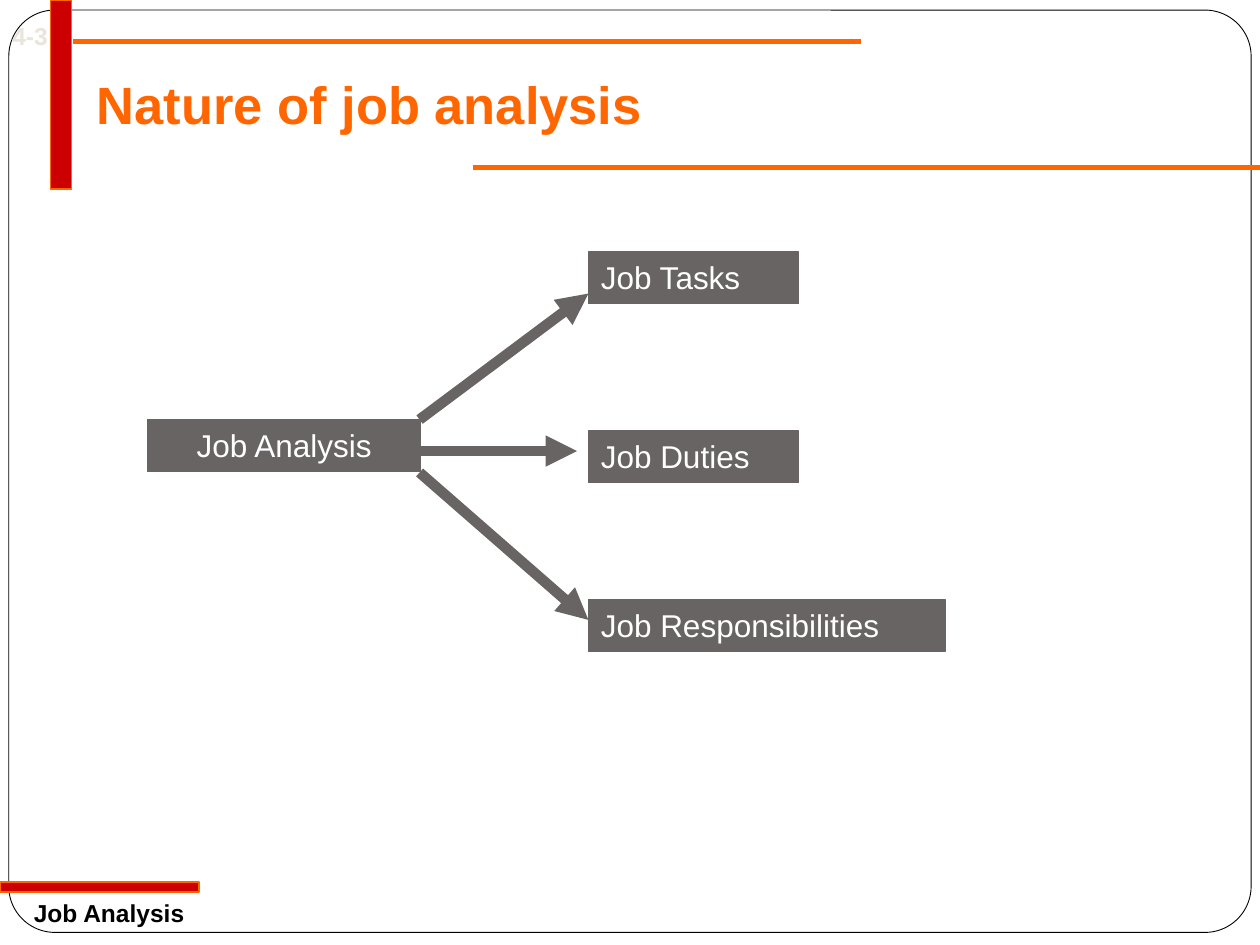
from dataclasses import dataclass

from lxml import etree
from pptx import Presentation
from pptx.dml.color import RGBColor
from pptx.enum.shapes import MSO_CONNECTOR, MSO_SHAPE
from pptx.enum.text import MSO_ANCHOR, PP_ALIGN
from pptx.oxml.ns import qn
from pptx.util import Inches, Pt

RECT, ROUND = MSO_SHAPE.RECTANGLE, MSO_SHAPE.ROUNDED_RECTANGLE
STRAIGHT = MSO_CONNECTOR.STRAIGHT
LEFT, CENTER = PP_ALIGN.LEFT, PP_ALIGN.CENTER
TOP = MSO_ANCHOR.TOP


@dataclass(frozen=True)
class Theme:
    font: str = "Arial"
    white: str = "FFFFFF"
    black: str = "000000"
    orange: str = "FF6600"
    red: str = "CC0000"
    gray: str = "696464"
    pale: str = "E9E5DC"
    title: int = 30
    body: int = 18
    small: int = 14


THEME = Theme()


def rgb(color):
    return RGBColor.from_string(color)


def write(shape, text, size, color, bold=False, align=LEFT):
    frame = shape.text_frame
    frame.word_wrap = True
    frame.vertical_anchor = TOP
    para = frame.paragraphs[0]
    para.text = text
    para.alignment = align
    font = para.runs[0].font
    font.name, font.size, font.bold = THEME.font, Pt(size), bold
    font.color.rgb = rgb(color)
    return para


def add_label(slide, box, text, size, color):
    """Add bold text without a frame."""
    label = slide.shapes.add_textbox(*map(Inches, box))
    return write(label, text, size, color, bold=True)


def add_block(slide, box, fill, line, width=0.75, kind=RECT):
    block = slide.shapes.add_shape(kind, *map(Inches, box))
    block.shadow.inherit = False
    block.fill.solid()
    block.fill.fore_color.rgb = rgb(fill)
    block.line.color.rgb = rgb(line)
    block.line.width = Pt(width)
    return block


def add_node(slide, box, text, align=LEFT):
    node = add_block(slide, box, THEME.gray, THEME.gray)
    write(node, text, THEME.body, THEME.white, align=align)


def add_line(slide, start, end, color, width):
    line = slide.shapes.add_connector(STRAIGHT, *map(Inches, start + end))
    line.line.color.rgb = rgb(color)
    line.line.width = Pt(width)
    etree.SubElement(line._element.spPr, qn("a:effectLst"))
    return line


def add_arrow(slide, start, end):
    arrow = add_line(slide, start, end, THEME.gray, 6)
    etree.SubElement(arrow.line._get_or_add_ln(), qn("a:tailEnd"),
                     type="triangle")


def add_frame(slide):
    """Add the page border, the bars, the rules and the fixed texts."""
    border = add_block(slide, (0.07, 0.08, 9.86, 7.32), THEME.white,
                       THEME.black, 0.5, ROUND)
    border.adjustments[0] = 0.05
    add_label(slide, (0, 0.12, 0.77, 0.33), "4-3", THEME.small, THEME.pale)
    for left, y in ((0.58, 0.33), (3.75, 1.33)):
        add_line(slide, (left, y), (left + 6.25, y), THEME.orange, 3)
    for bar in ((0.4, 0, 0.17, 1.5), (0, 7, 1.58, 0.08)):
        add_block(slide, bar, THEME.red, THEME.orange)
    title = add_label(slide, (0.67, 0.58, 8.75, 0.55),
                      "Nature of job analysis", THEME.title, THEME.orange)
    title.line_spacing = 0.9
    add_label(slide, (0.17, 7.08, 1.67, 0.33), "Job Analysis",
              THEME.small, THEME.black)


def add_tree(slide):
    """Add the root, its three arrows and the three results."""
    high, left = 0.41, 4.67
    add_node(slide, (1.17, 3.33, 2.17, high), "Job Analysis", CENTER)
    for start, end in (((3.33, 3.33), (left, 2.33)),
                       ((3.33, 3.75), (left, 4.92)),
                       ((3.25, 3.58), (4.58, 3.58))):
        add_arrow(slide, start, end)
    for text, top, wide in (("Job Tasks", 2, 1.67),
                            ("Job Duties", 3.42, 1.67),
                            ("Job Responsibilities", 4.76, 2.83)):
        add_node(slide, (left, top, wide, high), text)


def main():
    deck = Presentation()
    deck.slide_width, deck.slide_height = Inches(10), Inches(7.5)
    slide = deck.slides.add_slide(deck.slide_layouts[6])
    add_frame(slide)
    add_tree(slide)
    deck.save("out.pptx")


if __name__ == "__main__":
    main()
